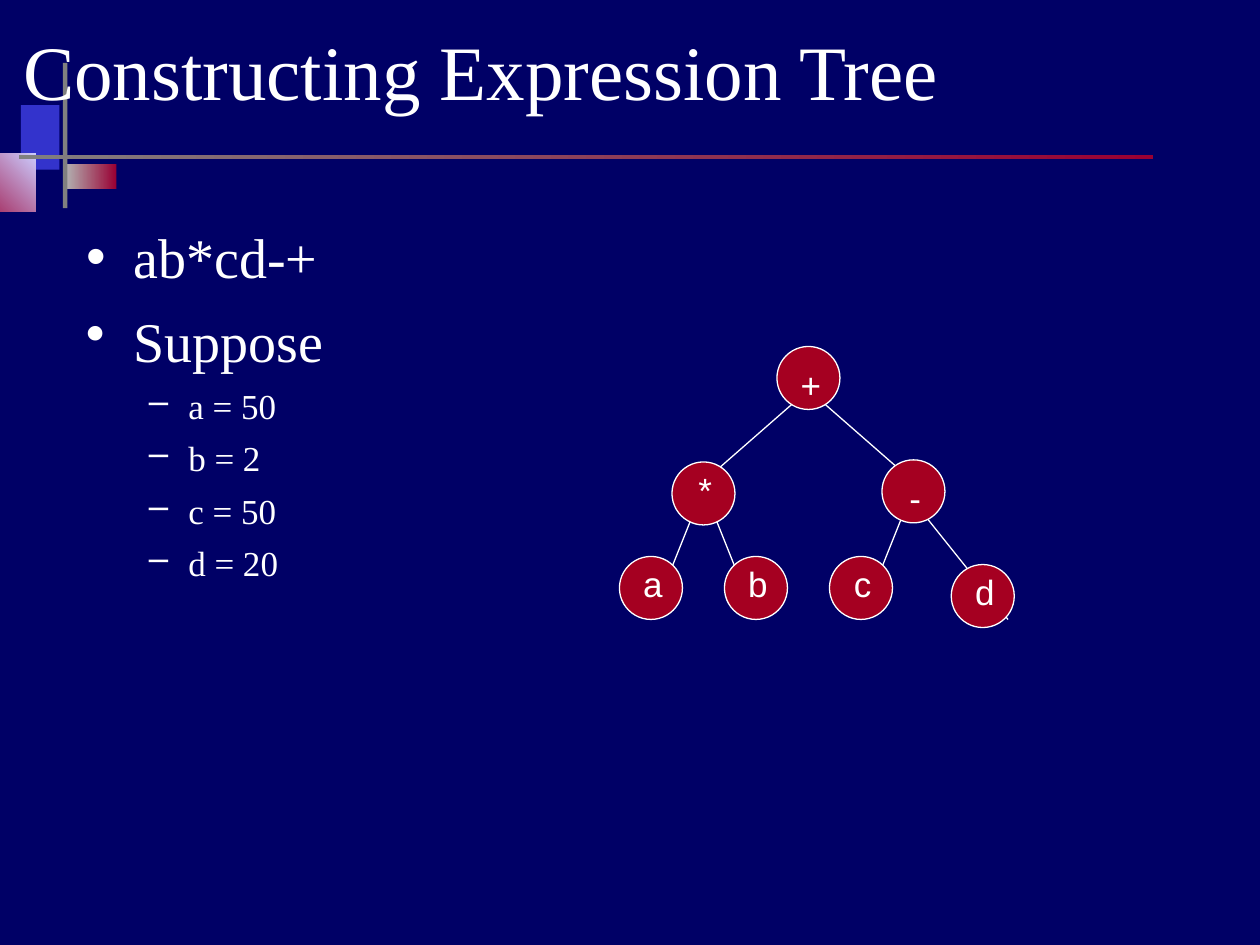
from lxml.etree import SubElement
from pptx import Presentation
from pptx.dml.color import RGBColor
from pptx.enum.shapes import MSO_CONNECTOR, MSO_SHAPE
from pptx.enum.text import MSO_ANCHOR, MSO_AUTO_SIZE, PP_ALIGN
from pptx.oxml.ns import qn
from pptx.util import Pt

NAVY = RGBColor(0x00, 0x00, 0x66)
WHITE = RGBColor(0xFF, 0xFF, 0xFF)
BLUE = RGBColor(0x33, 0x33, 0xCC)
LAVENDER = RGBColor(0xCC, 0xCC, 0xFF)
GRAY = RGBColor(0x80, 0x80, 0x80)
SILVER = RGBColor(0xB2, 0xB2, 0xB2)
MAROON = RGBColor(0x99, 0x00, 0x33)
CRIMSON = RGBColor(0xA5, 0x00, 0x21)

SERIF = "Times New Roman"
SANS = "Arial"
NODE_SIZE = 36
LABEL_WIDTH, LABEL_HEIGHT = 25, 32

ORNAMENTS = [
    ((12, 60, 22, 37), (BLUE,), 0),
    ((37.5, 93.5, 29, 14.5), (SILVER, MAROON), 0),
    ((-24, 87.5, 44.5, 33.5), (MAROON, LAVENDER), 45),
    ((36, 36, 2.5, 83), (GRAY,), 0),
    ((11, 88.5, 648, 2.5), (GRAY, MAROON), 0),
]
NODES = [
    ("b", 60, 120, 0),
    ("a", 0, 120, 0),
    ("*", 30, 66, 0),
    ("c", 120, 120, 0),
    ("d", 189.6, 124.6, 0),
    ("+", 90, 0, 6),
    ("-", 150, 64.8, 6),
]
EDGES = [
    (114, 30, 162, 72),
    (102, 30, 54, 72),
    (174, 96, 222, 156),
    (162, 96, 150, 126),
    (42, 96, 30, 126),
    (54, 96, 66, 126),
]


def place(shape, box):
    """Move a shape to a box of left, top, width and height in points."""
    shape.left, shape.top, shape.width, shape.height = map(Pt, box)


def style_font(paragraph, name, size):
    """Set the white font of a paragraph."""
    paragraph.font.name = name
    paragraph.font.size = Pt(size)
    paragraph.font.color.rgb = WHITE


def add_ornaments(slide, left, top):
    """Draw the bars and blocks around the title."""
    for (x, y, width, height), colors, angle in ORNAMENTS:
        shape = slide.shapes.add_shape(
            MSO_SHAPE.RECTANGLE, Pt(left + x), Pt(top + y), Pt(width), Pt(height))
        shape.shadow.inherit = False
        shape.line.fill.background()
        if len(colors) == 1:
            shape.fill.solid()
            shape.fill.fore_color.rgb = colors[0]
            continue
        shape.fill.gradient()
        shape.fill.gradient_angle = angle
        for stop, color in zip(shape.fill.gradient_stops, colors):
            stop.color.rgb = color


def fill_title(title, box, text):
    """Place and format the title."""
    place(title, box)
    frame = title.text_frame
    frame.text = text
    frame.auto_size = MSO_AUTO_SIZE.NONE
    frame.vertical_anchor = MSO_ANCHOR.MIDDLE
    frame.margin_top = Pt(11)
    paragraph = frame.paragraphs[0]
    paragraph.alignment = PP_ALIGN.LEFT
    style_font(paragraph, SERIF, 44)


def fill_list(shape, box, items):
    """Place a bulleted list of (level, text) items."""
    place(shape, box)
    frame = shape.text_frame
    frame.word_wrap = True
    frame.auto_size = MSO_AUTO_SIZE.NONE
    frame.margin_top = Pt(7)
    for index, (level, text) in enumerate(items):
        paragraph = frame.add_paragraph() if index else frame.paragraphs[0]
        paragraph.text = text
        paragraph.level = level
        margin, indent, bullet, size = [(27, -27, "•", 32), (58.5, -22.5, "–", 20)][level]
        properties = paragraph._p.get_or_add_pPr()
        properties.set("marL", str(Pt(margin)))
        properties.set("indent", str(Pt(indent)))
        SubElement(properties, qn("a:buChar")).set("char", bullet)
        paragraph.space_before = Pt(6 if index else 0)
        style_font(paragraph, SERIF, size)


def add_node(slide, left, top, text, drop):
    """Group a circle with its label, lowered by drop."""
    group = slide.shapes.add_group_shape()
    circle = group.shapes.add_shape(
        MSO_SHAPE.OVAL, Pt(left), Pt(top), Pt(NODE_SIZE), Pt(NODE_SIZE))
    circle.shadow.inherit = False
    circle.fill.solid()
    circle.fill.fore_color.rgb = CRIMSON
    circle.line.color.rgb = WHITE
    circle.line.width = Pt(0.75)
    label_left = left + (NODE_SIZE - LABEL_WIDTH) / 2 + 1
    label = group.shapes.add_textbox(
        Pt(label_left), Pt(top + drop), Pt(LABEL_WIDTH), Pt(LABEL_HEIGHT))
    label.text_frame.word_wrap = False
    label.text_frame.text = text
    paragraph = label.text_frame.paragraphs[0]
    paragraph.alignment = PP_ALIGN.CENTER
    style_font(paragraph, SANS, 20)


def add_tree(slide, left, top):
    """Draw the expression tree, edges behind nodes."""
    for x1, y1, x2, y2 in EDGES:
        edge = slide.shapes.add_connector(
            MSO_CONNECTOR.STRAIGHT,
            Pt(left + x1), Pt(top + y1), Pt(left + x2), Pt(top + y2))
        edge.line.color.rgb = WHITE
        edge.line.width = Pt(0.75)
        SubElement(edge._element.spPr, qn("a:effectLst"))
    for text, x, y, drop in NODES:
        add_node(slide, left + x, top + y, text, drop)


def main():
    """Build and save the slide."""
    presentation = Presentation()
    presentation.slide_width, presentation.slide_height = Pt(720), Pt(540)
    slide = presentation.slides.add_slide(presentation.slide_layouts[1])
    slide.background.fill.solid()
    slide.background.fill.fore_color.rgb = NAVY
    title, body = slide.placeholders
    add_ornaments(slide, 0, 0)
    for placeholder in (title, body):
        slide.shapes._spTree.append(placeholder._element)
    fill_title(title, (6, 0, 648, 72), "Constructing Expression Tree")
    fill_list(body, (42, 120, 648, 66), [(0, "ab*cd-+")])
    values = slide.shapes.add_textbox(0, 0, 0, 0)
    fill_list(values, (42, 168, 648, 162), [
        (0, "Suppose"), (1, "a = 50"), (1, "b = 2"), (1, "c = 50"), (1, "d = 20")])
    add_tree(slide, 354, 198)
    presentation.save("out.pptx")


if __name__ == "__main__":
    main()
